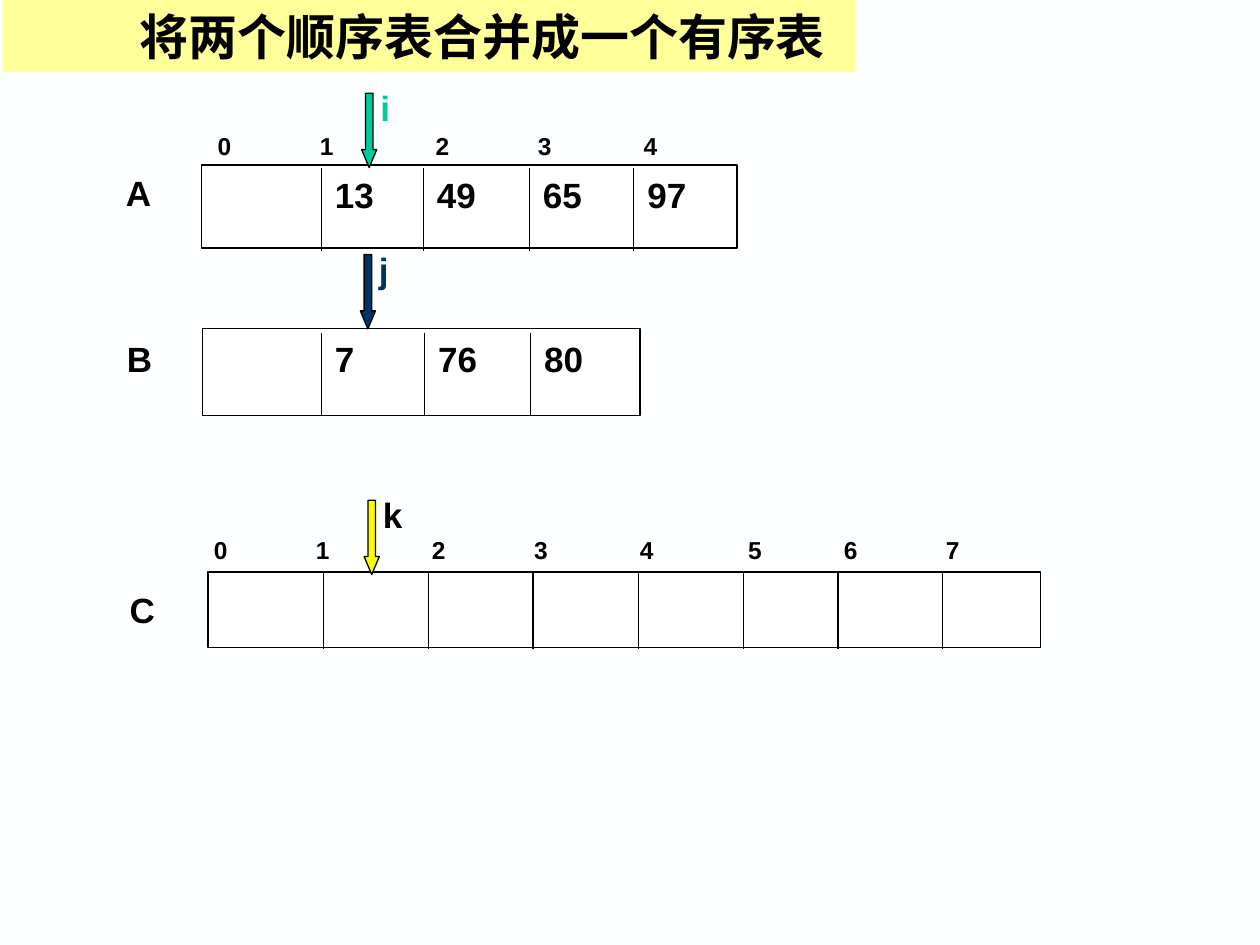
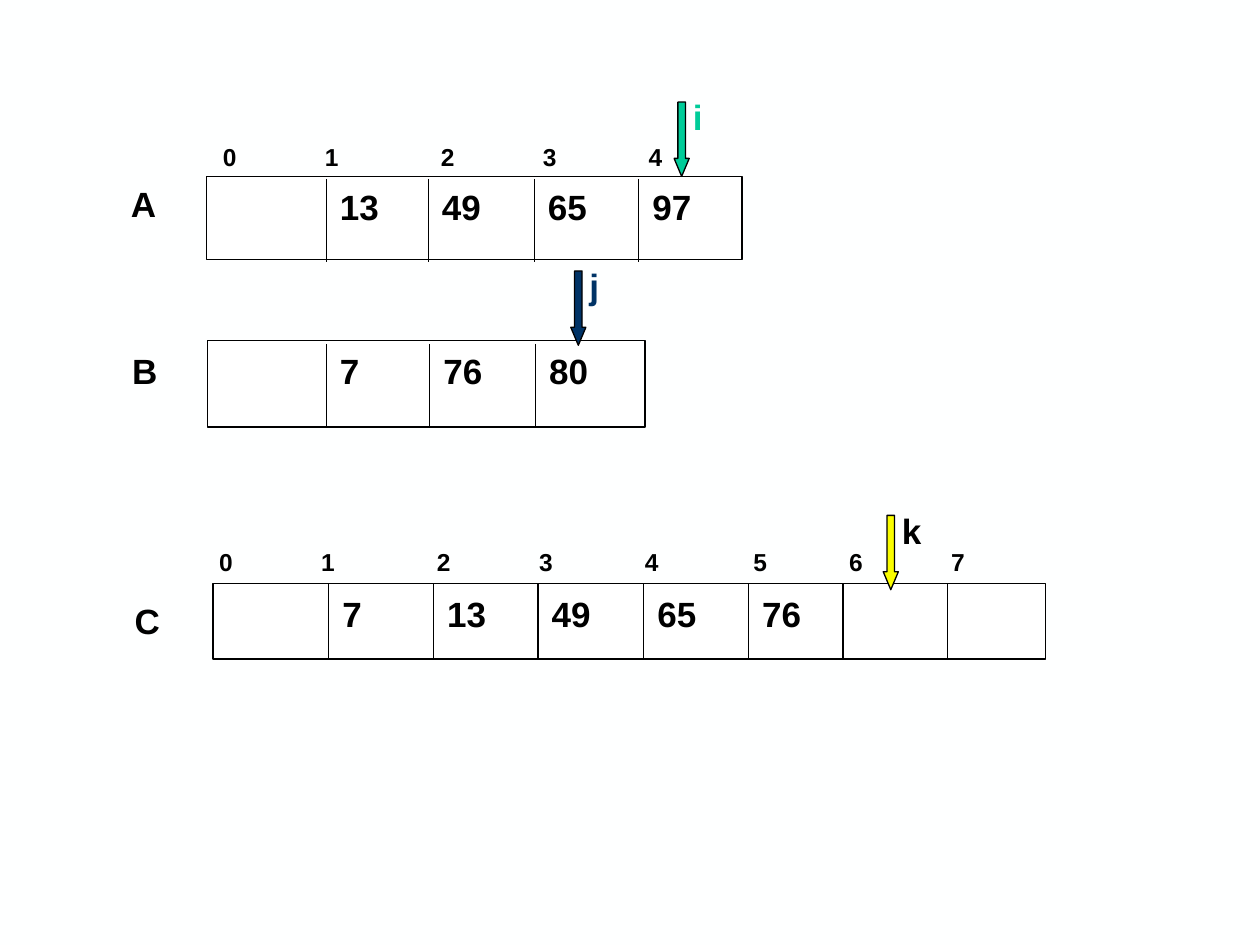
from dataclasses import dataclass

from lxml.etree import SubElement
from pptx import Presentation
from pptx.dml.color import RGBColor
from pptx.enum.shapes import MSO_CONNECTOR, MSO_SHAPE
from pptx.enum.text import MSO_ANCHOR, MSO_AUTO_SIZE, PP_ALIGN
from pptx.oxml.ns import qn
from pptx.util import Inches, Pt

BLACK = RGBColor(0x00, 0x00, 0x00)
WHITE = RGBColor(0xFF, 0xFF, 0xFF)
PAPER = RGBColor(0xFE, 0xFF, 0xFF)
BAND = RGBColor(0xFF, 0xFF, 0x99)
GREEN = RGBColor(0x00, 0xCC, 0x99)
NAVY = RGBColor(0x00, 0x33, 0x66)
YELLOW = RGBColor(0xFA, 0xFD, 0x00)
FONT = "Arial"
LINE = Pt(0.75)
INDEX_STOPS = [0.81, 1.73, 2.54, 3.38, 4.24, 5.0, 5.81]


@dataclass
class Array:
    name: str
    box: tuple
    dividers: list
    divider_span: tuple
    name_at: tuple
    pointer: str
    arrow_color: RGBColor
    pointer_color: RGBColor
    index_at: tuple = None


A = Array("A", (1.6, 1.31, 4.25, 0.66), [0.95, 1.76, 2.6, 3.43], (0.02, 0.68),
          (-0.7, -0.02), "i", GREEN, GREEN, (0.03, -0.34))
B = Array("B", (1.61, 2.61, 3.47, 0.69), [0.94, 1.76, 2.6], (0.03, 0.69),
          (-0.7, 0), "j", NAVY, NAVY)
C = Array("C", (1.65, 4.54, 6.61, 0.6), [0.92, 1.75, 2.58, 3.42, 4.25, 5.0, 5.83],
          (0, 0.61), (-0.72, 0.06), "k", YELLOW, BLACK, (-0.05, -0.36))


def style_font(p, size, color=BLACK):
    for r in p.runs:
        r.font.name = FONT
        r.font.size = Pt(size)
        r.font.bold = True
        r.font.color.rgb = color


def add_text(slide, text, x, y, w=0.67, h=0.44, size=20, color=BLACK, stops=()):
    tf = slide.shapes.add_textbox(Inches(x), Inches(y), Inches(w), Inches(h)).text_frame
    tf.word_wrap = True
    tf.margin_top = Inches(0.07)
    p = tf.paragraphs[0]
    p.text = text
    if stops:
        tabs = SubElement(p._p.get_or_add_pPr(), qn("a:tabLst"))
        for stop in stops:
            SubElement(tabs, qn("a:tab"), pos=str(Inches(stop)), algn="l")
    style_font(p, size, color)


def add_filled(slide, kind, x, y, w, h, color):
    sp = slide.shapes.add_shape(kind, Inches(x), Inches(y), Inches(w), Inches(h))
    sp.shadow.inherit = False
    sp.fill.solid()
    sp.fill.fore_color.rgb = color
    sp.line.color.rgb = BLACK
    sp.line.width = LINE
    return sp


def add_divider(slide, x, top, bottom):
    line = slide.shapes.add_connector(
        MSO_CONNECTOR.STRAIGHT, Inches(x), Inches(top), Inches(x), Inches(bottom))
    line.line.color.rgb = BLACK
    line.line.width = LINE
    SubElement(line._element.spPr, qn("a:effectLst"))


def add_pointer(slide, array, x, y):
    arrow = add_filled(slide, MSO_SHAPE.DOWN_ARROW, x, y, 0.12, 0.59, array.arrow_color)
    arrow.adjustments[0] = 0.5
    arrow.adjustments[1] = 1.19
    add_text(slide, array.pointer, x + 0.05, y - 0.12, w=0.53, color=array.pointer_color)


def add_array(slide, array, values, pointer_at, shift):
    left, top, w, h = array.box
    x, y = left + shift[0], top + shift[1]
    add_filled(slide, MSO_SHAPE.RECTANGLE, x, y, w, h, WHITE)
    start, end = array.divider_span
    for divider in array.dividers:
        add_divider(slide, x + divider, y + start, y + end)
    for divider, value in zip(array.dividers, values):
        add_text(slide, str(value), x + divider + 0.01, y)
    add_text(slide, array.name, x + array.name_at[0], y + array.name_at[1])
    if array.index_at:
        count = len(array.dividers)
        add_text(slide, "\t".join(str(i) for i in range(count + 1)),
                 x + array.index_at[0], y + array.index_at[1], w=w + 0.05, h=0.34,
                 size=14, stops=INDEX_STOPS[:count])
    add_pointer(slide, array, x + pointer_at[0], y + pointer_at[1])


def add_title(slide, text):
    title = slide.shapes.title
    title.left, title.top = Inches(0.02), Inches(0)
    title.width, title.height = Inches(6.77), Inches(0.57)
    title.fill.solid()
    title.fill.fore_color.rgb = BAND
    tf = title.text_frame
    tf.text = text
    tf.auto_size = MSO_AUTO_SIZE.NONE
    tf.vertical_anchor = MSO_ANCHOR.MIDDLE
    tf.margin_left = Inches(1.09)
    p = tf.paragraphs[0]
    p.alignment = PP_ALIGN.LEFT
    style_font(p, 28)


def add_merge_state(slide, merged, pointers, shift=(0, 0)):
    contents = [[13, 49, 65, 97], [7, 76, 80], merged]
    for array, values, pointer_at in zip((A, B, C), contents, pointers):
        add_array(slide, array, values, pointer_at, shift)


def main():
    prs = Presentation()
    prs.slide_width, prs.slide_height = Inches(10), Inches(7.5)
    background = prs.slide_master.background.fill
    background.solid()
    background.fore_color.rgb = PAPER

    start = prs.slides.add_slide(prs.slide_layouts[5])
    add_title(start, "将两个顺序表合并成一个有序表")
    add_merge_state(start, [], [(1.27, -0.57), (1.25, -0.59), (1.24, -0.57)])

    progress = prs.slides.add_slide(prs.slide_layouts[6])
    add_merge_state(progress, [7, 13, 49, 65, 76],
                    [(3.71, -0.59), (2.88, -0.55), (5.32, -0.54)], shift=(0.04, 0.09))

    prs.save("out.pptx")


if __name__ == "__main__":
    main()
